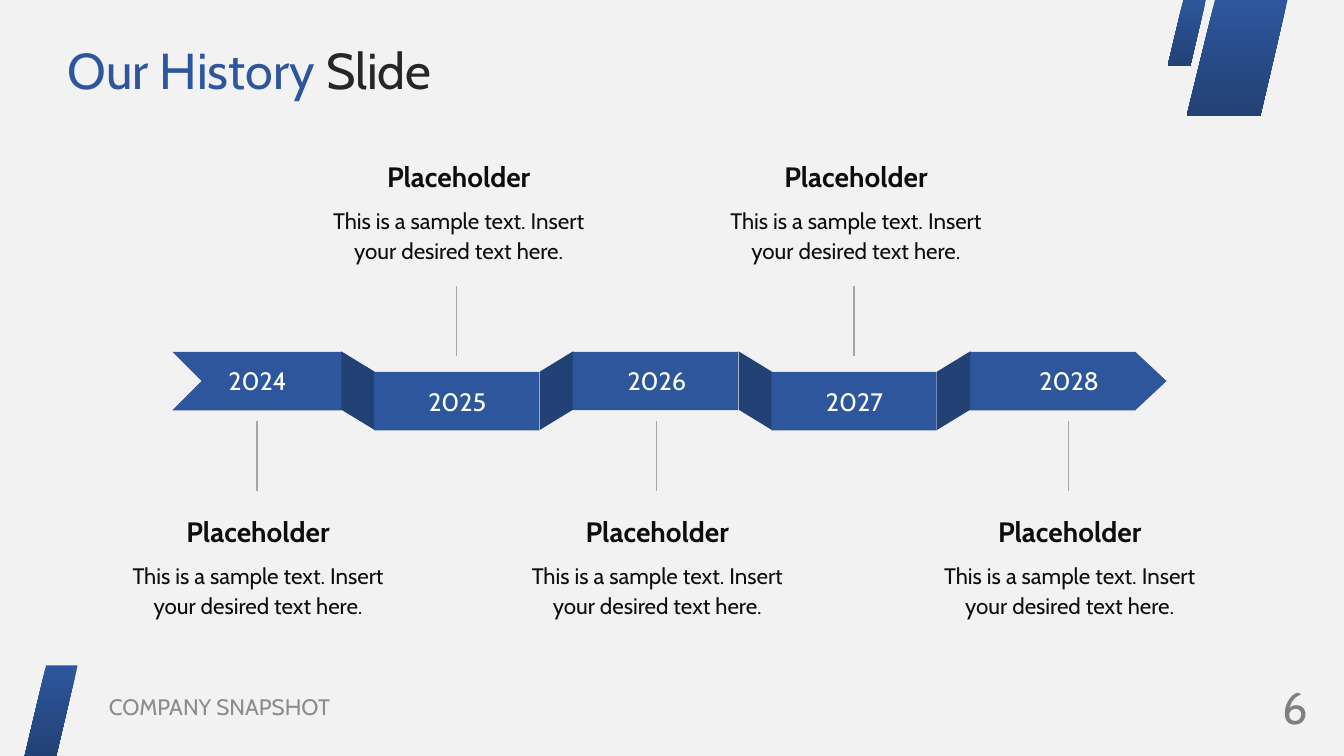
from dataclasses import dataclass

from lxml import etree
from pptx import Presentation, util as u
from pptx.dml.color import RGBColor
from pptx.enum import shapes, text
from pptx.oxml import ns
from pptx.util import Inches


@dataclass(frozen=True)
class Theme:
    font: str = "Cabin"
    background: str = "F2F2F2"
    blue: str = "2D569C"
    navy: str = "224175"
    white: str = "FFFFFF"
    ink: str = "0D0D0D"
    title_ink: str = "262626"
    line: str = "A6A6A6"
    footer: str = "8C8C8C"
    number: str = "808080"
    title_size: int = 36
    number_size: int = 32
    heading_size: int = 20
    year_size: int = 18
    body_size: int = 16


THEME = Theme()
MIDDLE = text.MSO_ANCHOR.MIDDLE
CENTER = text.PP_ALIGN.CENTER
BAND_TOP = 3.49
BAND_HEIGHT = 0.58
DROP = 0.2
PITCH = 1.97
MILESTONES = [("2024", 2.55), ("2025", 4.53), ("2026", 6.51),
              ("2027", 8.47), ("2028", 10.6)]
HEADING = "Placeholder"
BODY = "This is a sample text. Insert your desired text here."


def rgb(value):
    return RGBColor.from_string(value)


def style_run(r, size, color, bold=False):
    r.font.name = THEME.font
    r.font.size = u.Pt(size)
    r.font.bold = bold
    r.font.color.rgb = rgb(color)


def set_frame(tf, anchor, inset=0):
    tf.word_wrap = True
    tf.auto_size = text.MSO_AUTO_SIZE.NONE
    tf.vertical_anchor = anchor
    tf.margin_left = tf.margin_right = 0
    tf.margin_top = tf.margin_bottom = Inches(inset)


def add_label(s, box, words, size, color, align=CENTER, anchor=MIDDLE,
              bold=False, inset=0, spacing=None):
    tf = s.shapes.add_textbox(*map(Inches, box)).text_frame
    set_frame(tf, anchor, inset)
    tf.text = words
    p = tf.paragraphs[0]
    p.alignment = align
    p.line_spacing = spacing
    style_run(p.runs[0], size, color, bold)


def paint(sp, color):
    sp.shadow.inherit = False
    sp.line.fill.background()
    sp.fill.solid()
    sp.fill.fore_color.rgb = rgb(color)


def paint_gradient(sp):
    sp.shadow.inherit = False
    sp.line.fill.background()
    sp.fill.gradient()
    sp.fill.gradient_angle = 270
    for stop, color in zip(sp.fill.gradient_stops, (THEME.blue, THEME.navy)):
        stop.color.rgb = rgb(color)


def add_preset(s, kind, box):
    return s.shapes.add_shape(kind, *map(Inches, box))


def add_slant(s, box, adjustment):
    sp = add_preset(s, shapes.MSO_SHAPE.PARALLELOGRAM, box)
    sp.adjustments[0] = adjustment
    return sp


def add_polygon(s, points):
    start, *rest = [(Inches(x), Inches(y)) for x, y in points]
    builder = s.shapes.build_freeform(*start)
    builder.add_line_segments(rest, close=True)
    return builder.convert_to_shape()


def add_line(s, x, top, bottom):
    c = s.shapes.add_connector(shapes.MSO_CONNECTOR.STRAIGHT, Inches(x),
                               Inches(bottom), Inches(x), Inches(top))
    c.line.color.rgb = rgb(THEME.line)
    c.line.width = u.Pt(1)
    etree.SubElement(c._element.spPr, ns.qn("a:effectLst"))


def add_fold(s, index):
    sp = add_slant(s, (3.16 + PITCH * index, 3.71, 0.78, 0.33), 0.61)
    rising = index % 2 == 1
    sp.rotation = 90 if rising else 270
    if rising:
        sp._element.spPr.xfrm.set("flipH", "1")
    paint(sp, THEME.navy)


def add_panel(s, index):
    top = BAND_TOP + (DROP if index % 2 == 0 else 0)
    box = (3.71 + PITCH * index, top, 1.64, BAND_HEIGHT)
    paint(add_preset(s, shapes.MSO_SHAPE.RECTANGLE, box), THEME.blue)


def add_ribbon(s):
    bottom = BAND_TOP + BAND_HEIGHT
    middle = BAND_TOP + BAND_HEIGHT / 2
    tail = [(1.71, BAND_TOP), (3.39, BAND_TOP), (3.39, bottom),
            (1.71, bottom), (2, middle)]
    head = [(9.62, BAND_TOP), (11.26, BAND_TOP), (11.57, middle),
            (11.26, bottom), (9.62, bottom)]
    for points in (tail, head):
        paint(add_polygon(s, points), THEME.blue)
    for index in range(4):
        add_fold(s, index)
    for index in range(3):
        add_panel(s, index)


def add_milestone(s, year, x, above):
    year_top = 3.84 if above else 3.63
    add_label(s, (x - 0.44, year_top, 0.89, 0.29), year,
              THEME.year_size, THEME.white)
    left = x - (1.37 if above else 1.38)
    top = 1.55 if above else 5.07
    add_label(s, (left, top, 2.78, 0.4), HEADING,
              THEME.heading_size, THEME.ink, bold=True)
    add_label(s, (left, top + 0.48, 2.78, 0.61), BODY, THEME.body_size,
              THEME.ink, anchor=text.MSO_ANCHOR.TOP, spacing=1.1)
    line_top = 2.84 if above else 4.18
    add_line(s, x, line_top, line_top + 0.69)


def add_decoration(s):
    corner = [(12.05, 0), (12.77, 0), (12.5, 1.15), (11.77, 1.15)]
    for sp in (add_slant(s, (0.24, 6.6, 0.53, 0.92), 0.41),
               add_polygon(s, corner),
               add_slant(s, (11.58, 0, 0.38, 0.66), 0.41)):
        paint_gradient(sp)


def set_title(s):
    sp = s.shapes.title
    sp.left, sp.top, sp.width, sp.height = map(Inches, (0.67, 0.3, 10.59, 0.78))
    set_frame(sp.text_frame, MIDDLE, 0.07)
    p = sp.text_frame.paragraphs[0]
    p.alignment = text.PP_ALIGN.LEFT
    for words, color in (("Our History", THEME.blue),
                         (" Slide", THEME.title_ink)):
        r = p.add_run()
        r.text = words
        style_run(r, THEME.title_size, color)


def add_footer(s):
    add_label(s, (12.26, 6.81, 0.71, 0.4), "6", THEME.number_size,
              THEME.number, align=text.PP_ALIGN.RIGHT, inset=0.07)
    add_label(s, (1.08, 6.81, 4.22, 0.4), "COMPANY SNAPSHOT", THEME.body_size,
              THEME.footer, align=text.PP_ALIGN.LEFT, inset=0.07)


def main():
    prs = Presentation()
    prs.slide_width, prs.slide_height = Inches(13.33), Inches(7.5)
    s = prs.slides.add_slide(prs.slide_layouts[5])
    s.background.fill.solid()
    s.background.fill.fore_color.rgb = rgb(THEME.background)
    set_title(s)
    add_decoration(s)
    add_ribbon(s)
    for index, (year, x) in enumerate(MILESTONES):
        add_milestone(s, year, x, above=index % 2 == 1)
    add_footer(s)
    prs.save("out.pptx")


if __name__ == "__main__":
    main()
